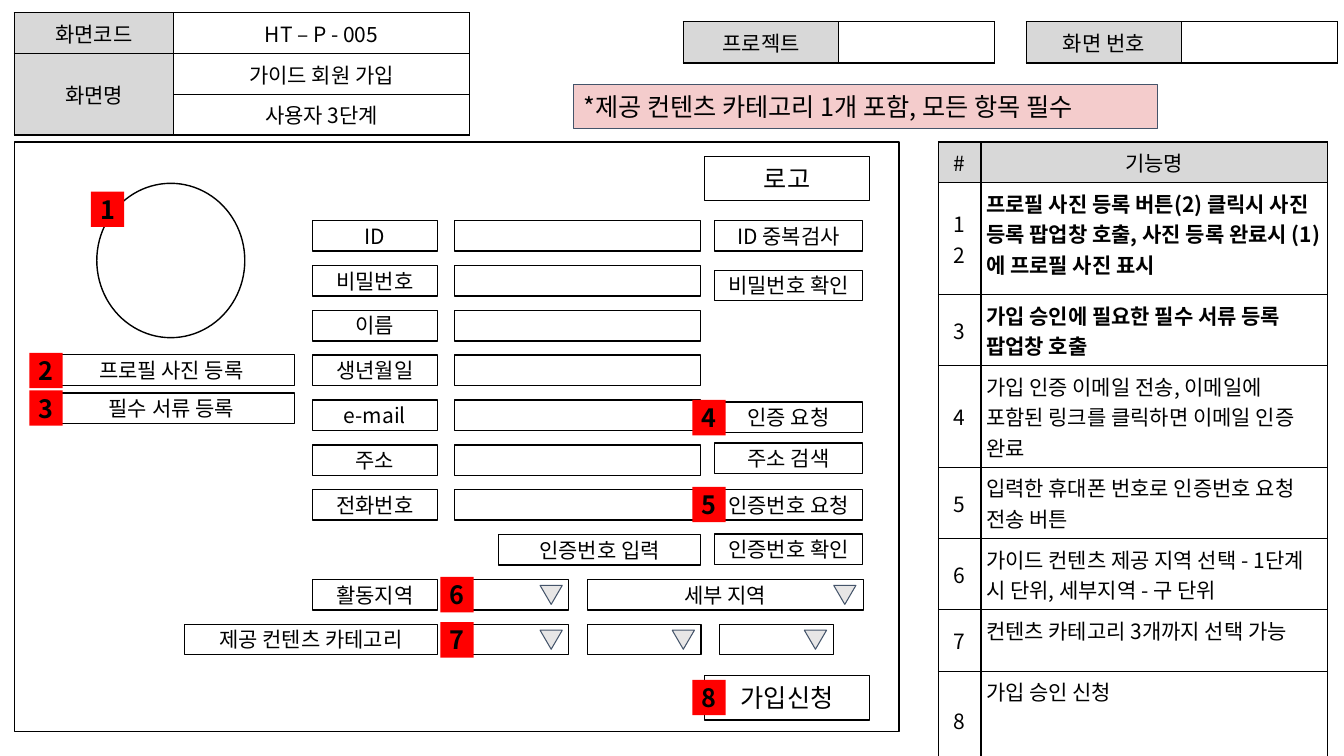
from dataclasses import dataclass

from lxml import etree
from pptx import Presentation
from pptx.dml.color import RGBColor
from pptx.enum.shapes import MSO_SHAPE
from pptx.enum.text import MSO_ANCHOR, PP_ALIGN
from pptx.oxml.ns import qn
from pptx.util import Cm, Pt

RECT, OVAL, TRIANGLE = MSO_SHAPE.RECTANGLE, MSO_SHAPE.OVAL, MSO_SHAPE.ISOSCELES_TRIANGLE
LEFT, CENTER = PP_ALIGN.LEFT, PP_ALIGN.CENTER
TOP, MIDDLE = MSO_ANCHOR.TOP, MSO_ANCHOR.MIDDLE

FONT = "Noto Sans CJK KR"
BLACK, WHITE, RED = "000000", "FFFFFF", "FF0000"
HEAD, PINK, SLATE, SILVER = "D8D8D8", "F4CCCC", "44546A", "E7E6E6"

# Form grid, in centimetres
ROW_TOP, ROW_STEP, ROW_H = 5.56, 1.13, 0.77
LABEL_X, LABEL_W = 7.87, 3.16
INPUT_X, INPUT_W = 11.46, 6.2
BUTTON_X, BUTTON_W = 18.01, 3.73
SELECT_W, SELECT_STEP = 2.87, 3.34
PHOTO_X, PHOTO_W = 1.22, 6.2


@dataclass
class Box:
    x: float
    y: float
    w: float
    h: float = ROW_H
    text: str = ""
    size: float = 15
    bold: bool = False
    align: PP_ALIGN = CENTER
    fill: str = WHITE
    line: str = BLACK
    line_w: float = 1
    kind: MSO_SHAPE = RECT
    inset: float = 0
    rotation: float = 0


@dataclass
class Cell:
    text: str = ""
    fill: str = WHITE
    bold: bool = False
    align: PP_ALIGN = CENTER
    anchor: MSO_ANCHOR = MIDDLE


def rgb(color: str) -> RGBColor:
    return RGBColor.from_string(color)


def row_y(row: int) -> float:
    return ROW_TOP + row * ROW_STEP


def add_text(tf, text: str, size: float, bold: bool, align: PP_ALIGN) -> None:
    tf.word_wrap = True
    for i, line in enumerate(text.split("\n")):
        p = tf.paragraphs[0] if i == 0 else tf.add_paragraph()
        p.alignment = align
        r = p.add_run()
        r.text = line
        r.font.size, r.font.bold, r.font.name = Pt(size), bold, FONT
        r.font.color.rgb = rgb(BLACK)
        etree.SubElement(r.font._element, qn("a:ea")).set("typeface", FONT)


def add_box(s, box: Box) -> None:
    sp = s.shapes.add_shape(box.kind, Cm(box.x), Cm(box.y), Cm(box.w), Cm(box.h))
    sp.shadow.inherit = False
    sp.rotation = box.rotation
    sp.fill.solid()
    sp.fill.fore_color.rgb = rgb(box.fill)
    if box.line:
        sp.line.color.rgb = rgb(box.line)
        sp.line.width = Pt(box.line_w)
    else:
        sp.line.fill.background()
    if box.text:
        tf = sp.text_frame
        tf.margin_top = tf.margin_bottom = 0
        tf.margin_left = tf.margin_right = Cm(box.inset)
        tf.vertical_anchor = MIDDLE
        add_text(tf, box.text, box.size, box.bold, box.align)


def add_borders(cell) -> None:
    tcPr = cell._tc.get_or_add_tcPr()
    for i, side in enumerate(("lnL", "lnR", "lnT", "lnB")):
        ln = etree.Element(qn(f"a:{side}"), w=str(Pt(1)))
        fill = etree.SubElement(ln, qn("a:solidFill"))
        etree.SubElement(fill, qn("a:srgbClr")).set("val", BLACK)
        tcPr.insert(i, ln)


def add_grid(s, x: float, y: float, cols: list[float], rows: list[float],
             cells: list[list[Cell]]):
    table = s.shapes.add_table(len(rows), len(cols), Cm(x), Cm(y),
                               Cm(sum(cols)), Cm(sum(rows))).table
    table.first_row = table.horz_banding = False
    for col, width in zip(table.columns, cols):
        col.width = Cm(width)
    for row, height in zip(table.rows, rows):
        row.height = Cm(height)
    for i, line in enumerate(cells):
        for j, item in enumerate(line):
            cell = table.cell(i, j)
            cell.margin_left = cell.margin_right = Cm(0.13)
            cell.margin_top = cell.margin_bottom = Cm(0.13)
            cell.vertical_anchor = item.anchor
            cell.fill.solid()
            cell.fill.fore_color.rgb = rgb(item.fill)
            add_borders(cell)
            if item.text:
                add_text(cell.text_frame, item.text, 15, item.bold, item.align)
    return table


prs = Presentation()
prs.slide_width, prs.slide_height = Cm(33.87), Cm(19.05)
s = prs.slides.add_slide(prs.slide_layouts[6])

# Header tables
screen = add_grid(s, 0.36, 0.32, [4.02, 7.45], [0.76] * 3, [
    [Cell("화면코드", HEAD), Cell("HT – P - 005")],
    [Cell("화면명", HEAD), Cell("가이드 회원 가입")],
    [Cell(fill=HEAD), Cell("사용자 3단계")],
])
screen.cell(1, 0).merge(screen.cell(2, 0))
for x, title in ((25.86, "화면 번호"), (17.22, "프로젝트")):
    add_grid(s, x, 0.55, [3.92, 3.92], [0.74], [[Cell(title, HEAD), Cell()]])

# Function list
FUNCTIONS = [
    ("1\n2", "프로필 사진 등록 버튼(2) 클릭시 사진 등록 팝업창 호출, "
             "사진 등록 완료시 (1)에 프로필 사진 표시", True),
    ("3", "가입 승인에 필요한 필수 서류 등록 팝업창 호출", True),
    ("4", "가입 인증 이메일 전송, 이메일에 포함된 링크를 클릭하면 이메일 인증 완료", False),
    ("5", "입력한 휴대폰 번호로 인증번호 요청 전송 버튼", False),
    ("6", "가이드 컨텐츠 제공 지역 선택 - 1단계 시 단위, 세부지역 - 구 단위", False),
    ("7", "컨텐츠 카테고리 3개까지 선택 가능", False),
    ("8", "가입 승인 신청", False),
]
add_grid(s, 23.65, 3.58, [1.07, 8.74], [0.99, 2.82, 1.52, 2.16, 1.52, 1.78, 1.55, 2.49],
         [[Cell("#", HEAD), Cell("기능명", HEAD)]]
         + [[Cell(number), Cell(text, bold=bold, align=LEFT, anchor=TOP)]
            for number, text, bold in FUNCTIONS])

# Screen frame, profile photo and notice
boxes = [
    Box(0.36, 3.58, 22.3, 14.86),
    Box(2.44, 4.62, 3.73, 3.89, kind=OVAL),
    Box(PHOTO_X, 8.94, PHOTO_W, text="프로필 사진 등록"),
    Box(PHOTO_X, 9.9, PHOTO_W, text="필수 서류 등록"),
    Box(14.45, 2.13, 14.73, 1.12, "*제공 컨텐츠 카테고리 1개 포함, 모든 항목 필수", 18,
        align=LEFT, fill=PINK, line=SLATE, line_w=0.75, inset=0.25),
]
boxes += [Box(17.75, y, 4.17, 1.12, text, 18)
          for y, text in ((3.94, "로고"), (17.02, "가입신청"))]

# Labels with input fields
FIELDS = ["ID", "비밀번호", "이름", "생년월일", "e-mail", "주소", "전화번호"]
for row, label in enumerate(FIELDS):
    boxes += [Box(LABEL_X, row_y(row), LABEL_W, text=label),
              Box(INPUT_X, row_y(row), INPUT_W)]

# Buttons beside the fields
BUTTONS = [(5.56, "ID 중복검사"), (6.81, "비밀번호 확인"), (10.13, "인증 요청"),
           (11.16, "주소 검색"), (12.34, "인증번호 요청"), (13.46, "인증번호 확인")]
boxes += [Box(BUTTON_X, y, BUTTON_W, text=text) for y, text in BUTTONS]
boxes.append(Box(12.56, row_y(7), 5.1, text="인증번호 입력"))

# Region and category selectors
boxes += [
    Box(LABEL_X, row_y(8), LABEL_W, text="활동지역"),
    Box(INPUT_X, row_y(8), SELECT_W),
    Box(INPUT_X + SELECT_STEP, row_y(8), 6.96, text="세부 지역"),
    Box(4.65, row_y(9), 6.37, text="제공 컨텐츠 카테고리"),
]
boxes += [Box(INPUT_X + i * SELECT_STEP, row_y(9), SELECT_W) for i in range(3)]
ARROWS = [(13.61, 8), (21.01, 8), (13.61, 9), (16.94, 9), (20.27, 9)]
boxes += [Box(x, row_y(row) + 0.15, 0.56, 0.48, fill=SILVER, line=SLATE, line_w=0.75,
              kind=TRIANGLE, rotation=180) for x, row in ARROWS]

# Numbered badges
BADGES = [(2.29, 4.83), (0.74, 8.89), (0.74, 9.84), (17.45, 10.08),
          (17.45, 12.27), (11.1, 14.54), (11.1, 15.68), (17.45, 17.13)]
boxes += [Box(x, y, 0.84, 0.89, str(number), 18, True, fill=RED, line="")
          for number, (x, y) in enumerate(BADGES, 1)]

for box in boxes:
    add_box(s, box)

prs.save("out.pptx")
